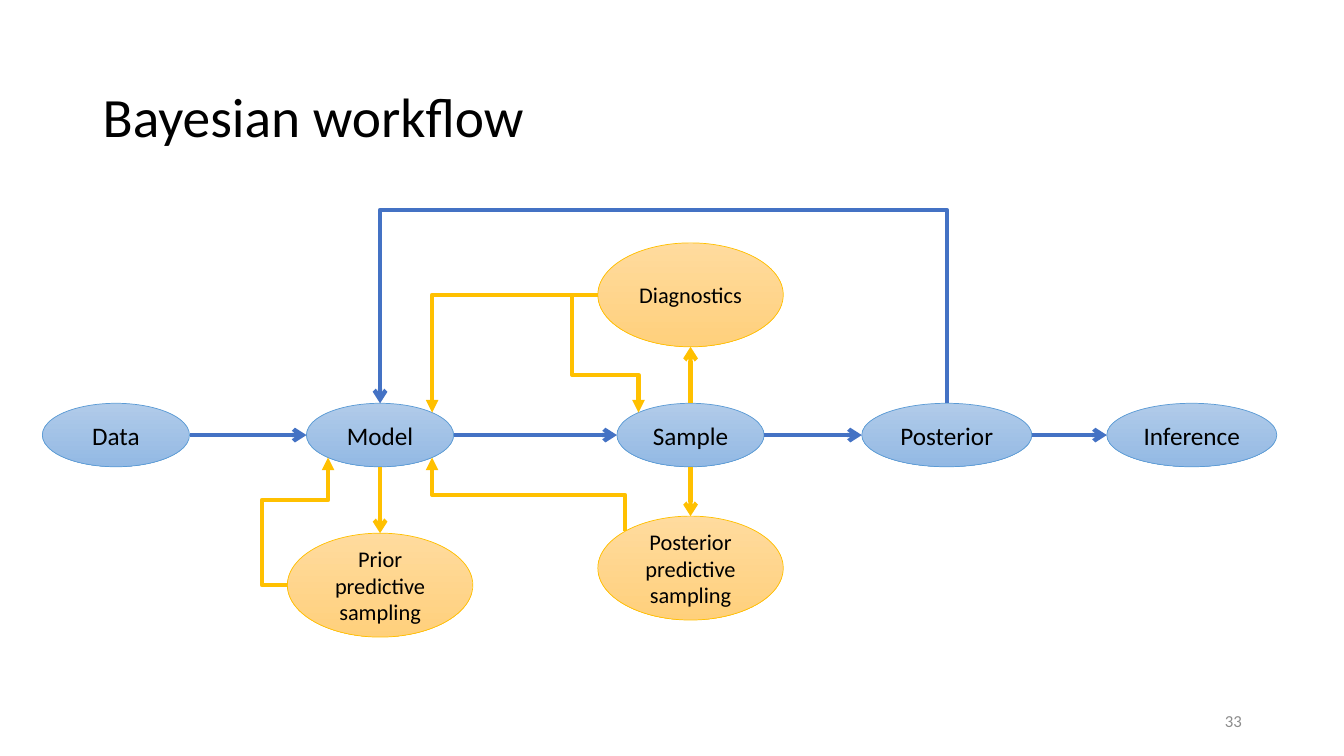
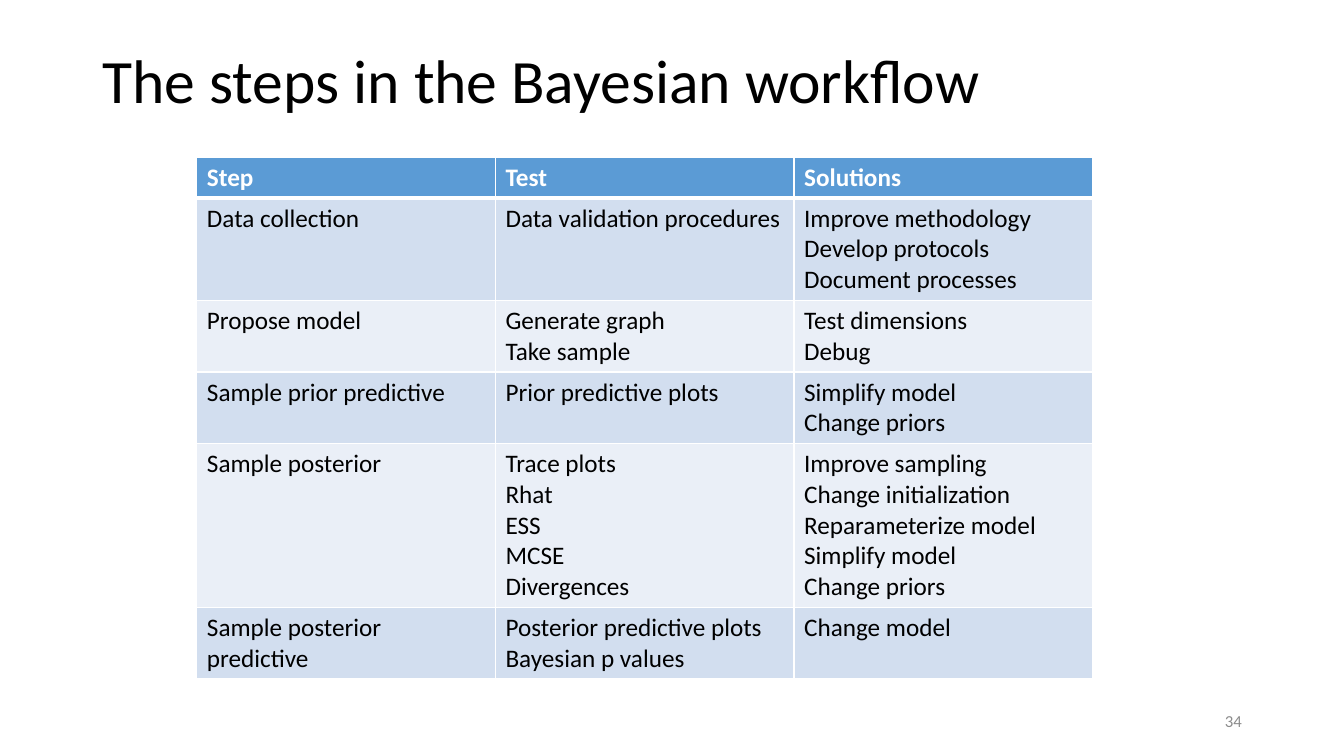
"""Builds two slides on the Bayesian workflow: a flow diagram and a table of steps."""
from dataclasses import dataclass
from math import sqrt

from lxml import etree
from pptx import Presentation
from pptx import util as u
from pptx.dml.color import RGBColor
from pptx.enum import shapes, text
from pptx.oxml.ns import qn

WIDTH, HEIGHT = u.Inches(13.333), u.Inches(7.5)
FONT = "Calibri"
COLOURS = {
    "black": "000000", "white": "FFFFFF", "number": "8C8C8C",
    "main_top": "B1CBE9", "main_bottom": "93B9E4", "main_edge": "5B9BD5", "main_flow": "4472C4",
    "check_top": "FFDB9E", "check_bottom": "FFD07C", "check_edge": "FFC000", "check_flow": "FFC000",
    "header": "5B9BD5", "band_odd": "D2DEEF", "band_even": "EAEFF7",
}
MIDDLE = 57.55
STUB = 1.9
COLUMN_WIDTH, LINE_HEIGHT, CELL_PADDING = 22.22, 4.07, 1.33
TOP, LEFT, BOTTOM, RIGHT = 0, 2, 4, 6
SIDES = {TOP: (0, -1), LEFT: (-1, 0), BOTTOM: (0, 1), RIGHT: (1, 0)}
Point = tuple[float, float]


@dataclass(frozen=True)
class Node:
    """An ellipse placed by its centre, in percent of the slide."""
    label: str
    x: float
    y: float
    width: float
    height: float
    size: int
    family: str

    def side(self, site: int) -> Point:
        """Return the end of one axis."""
        dx, dy = SIDES[site]
        return self.x + dx * self.width / 2, self.y + dy * self.height / 2

    def corner(self, dx: int, dy: int) -> Point:
        """Return the diagonal point of the outline."""
        return self.x + dx * self.width / sqrt(8), self.y + dy * self.height / sqrt(8)


@dataclass(frozen=True)
class Arrow:
    """A straight arrow between two nodes."""
    start: Node
    start_site: int
    end: Node
    end_site: int
    family: str


@dataclass(frozen=True)
class Route:
    """A bent arrow through several points."""
    points: list[Point]
    family: str
    head: str


def main_node(label: str, x: float, width: float) -> Node:
    """Return a step of the main line."""
    return Node(label, x, MIDDLE, width, 8.4, 18, "main")


def check_node(label: str, x: float, y: float) -> Node:
    """Return a checking step."""
    return Node(label, x, y, 13.8, 13.75, 16, "check")


DATA = main_node("Data", 8.63, 10.95)
MODEL = main_node("Model", 28.28, 10.95)
SAMPLE = main_node("Sample", 51.38, 10.95)
POSTERIOR = main_node("Posterior", 70.45, 12.65)
INFERENCE = main_node("Inference", 88.68, 12.65)
PRIOR_CHECK = check_node("Prior predictive sampling", MODEL.x, 77.4)
DIAGNOSTICS = check_node("Diagnostics", SAMPLE.x, 39)
POSTERIOR_CHECK = check_node("Posterior predictive sampling", SAMPLE.x, 75.15)
MAIN_LINE = [DATA, MODEL, SAMPLE, POSTERIOR, INFERENCE]
NODES = MAIN_LINE + [PRIOR_CHECK, DIAGNOSTICS, POSTERIOR_CHECK]

ARROWS = [Arrow(start, RIGHT, end, LEFT, "main") for start, end in zip(MAIN_LINE, MAIN_LINE[1:])] + [
    Arrow(MODEL, BOTTOM, PRIOR_CHECK, TOP, "check"),
    Arrow(SAMPLE, TOP, DIAGNOSTICS, BOTTOM, "check"),
    Arrow(SAMPLE, BOTTOM, POSTERIOR_CHECK, TOP, "check"),
]

STEPS = [
    (["Step"], ["Test"], ["Solutions"]),
    (["Data collection"], ["Data validation procedures"],
     ["Improve methodology", "Develop protocols", "Document processes"]),
    (["Propose model"], ["Generate graph", "Take sample"], ["Test dimensions", "Debug"]),
    (["Sample prior predictive"], ["Prior predictive plots"], ["Simplify model", "Change priors"]),
    (["Sample posterior"], ["Trace plots", "Rhat", "ESS", "MCSE", "Divergences"],
     ["Improve sampling", "Change initialization", "Reparameterize model",
      "Simplify model", "Change priors"]),
    (["Sample posterior predictive"], ["Posterior predictive plots", "Bayesian p values"],
     ["Change model"]),
]


def across(share: float) -> u.Emu:
    """Turn a percentage of the slide's width into a length."""
    return u.Emu(round(WIDTH * share / 100))


def down(share: float) -> u.Emu:
    """Turn a percentage of the slide's height into a length."""
    return u.Emu(round(HEIGHT * share / 100))


def place(point: Point) -> tuple[u.Emu, u.Emu]:
    """Turn a point in percent into lengths."""
    return across(point[0]), down(point[1])


def colour(name: str) -> RGBColor:
    """Return a named colour."""
    return RGBColor.from_string(COLOURS[name])


def write(frame, lines: list[str], size: float, ink: str = "black",
          align=text.PP_ALIGN.LEFT, bold: bool = False, spacing: float = 1.0) -> None:
    """Write one paragraph for each line."""
    for index, line in enumerate(lines):
        para = frame.add_paragraph() if index else frame.paragraphs[0]
        para.alignment, para.line_spacing = align, spacing
        span = para.add_run()
        span.text = line
        span.font.name, span.font.size, span.font.bold = FONT, u.Pt(size), bold
        span.font.color.rgb = colour(ink)


def add_label(page, corner: Point, width: float, height: float, words: str, size: float, **style) -> None:
    """Add a text box centred vertically."""
    box = page.shapes.add_textbox(*place(corner), across(width), down(height))
    box.text_frame.word_wrap = True
    box.text_frame.vertical_anchor = text.MSO_ANCHOR.MIDDLE
    write(box.text_frame, [words], size, **style)


def add_page(deck, title: str, size: float, title_top: float, number: int):
    """Add a blank slide with its title and number."""
    page = deck.slides.add_slide(deck.slide_layouts[6])
    add_label(page, (6.9, title_top), 86.25, 11.35, title, size, spacing=0.9)
    add_label(page, (70.65, 92.65), 22.5, 5.35, str(number), 12,
              ink="number", align=text.PP_ALIGN.RIGHT)
    return page


def add_node(page, node: Node):
    """Draw a node and return its shape."""
    corner = (node.x - node.width / 2, node.y - node.height / 2)
    oval = page.shapes.add_shape(shapes.MSO_SHAPE.OVAL, *place(corner),
                                 across(node.width), down(node.height))
    oval.shadow.inherit = False
    oval.fill.gradient()
    oval.fill.gradient_angle = 270
    for stop, end in zip(oval.fill.gradient_stops, ("top", "bottom")):
        stop.color.rgb = colour(f"{node.family}_{end}")
    oval.line.color.rgb = colour(f"{node.family}_edge")
    oval.line.width = u.Pt(0.5)
    oval.text_frame.word_wrap = True
    oval.text_frame.vertical_anchor = text.MSO_ANCHOR.MIDDLE
    write(oval.text_frame, [node.label], node.size, align=text.PP_ALIGN.CENTER)
    return oval


def style_flow(line, family: str, head: str) -> None:
    """Give a line its colour, width and arrowhead."""
    line.color.rgb = colour(f"{family}_flow")
    line.width = u.Pt(3)
    etree.SubElement(line._get_or_add_ln(), qn("a:tailEnd"), type=head)


def add_arrow(page, arrow: Arrow, ovals: dict) -> None:
    """Draw a straight arrow joined to both ellipses."""
    connector = page.shapes.add_connector(
        shapes.MSO_CONNECTOR.STRAIGHT,
        *place(arrow.start.side(arrow.start_site)), *place(arrow.end.side(arrow.end_site)))
    style_flow(connector.line, arrow.family, "arrow")
    etree.SubElement(connector._element.spPr, qn("a:effectLst"))
    joints = connector._element.find(".//" + qn("p:cNvCxnSpPr"))
    for tag, node, site in (("a:stCxn", arrow.start, arrow.start_site),
                            ("a:endCxn", arrow.end, arrow.end_site)):
        etree.SubElement(joints, qn(tag), id=str(ovals[node].shape_id), idx=str(site))


def add_route(page, route: Route) -> None:
    """Draw a bent arrow as an open outline."""
    start, *others = [place(point) for point in route.points]
    builder = page.shapes.build_freeform(*start)
    builder.add_line_segments(others, close=False)
    outline = builder.convert_to_shape()
    outline.shadow.inherit = False
    outline.fill.background()
    style_flow(outline.line, route.family, route.head)


def via_turn(start: Point, turn: float, end: Point) -> list[Point]:
    """Return a path that crosses at the height of the turn."""
    return [start, (start[0], turn), (end[0], turn), end]


def feedback_routes() -> list[Route]:
    """Return the bent arrows of the workflow."""
    prior, checks = PRIOR_CHECK.side(LEFT), DIAGNOSTICS.side(LEFT)
    model_right = MODEL.corner(1, -1)
    paths = [
        [prior] + via_turn((prior[0] - STUB, prior[1]), 66.15, MODEL.corner(-1, 1)),
        [checks] + via_turn((checks[0] - STUB, checks[1]), 49.6, SAMPLE.corner(-1, -1)),
        [checks, (model_right[0], checks[1]), model_right],
        via_turn(POSTERIOR_CHECK.corner(-1, -1), 65.45, MODEL.corner(1, 1)),
    ]
    loop = via_turn(POSTERIOR.side(TOP), 27.75, MODEL.side(TOP))
    return [Route(path, "check", "triangle") for path in paths] + [Route(loop, "main", "arrow")]


def add_borders(cell, widths: dict[str, float]) -> None:
    """Give a cell white borders."""
    for side, width in widths.items():
        edge = etree.SubElement(cell._tc.get_or_add_tcPr(), qn(f"a:ln{side}"), w=str(u.Pt(width)))
        fill = etree.SubElement(edge, qn("a:solidFill"))
        etree.SubElement(fill, qn("a:srgbClr"), val=COLOURS["white"])


def add_steps(page) -> None:
    """Draw the table of steps."""
    heights = [CELL_PADDING + LINE_HEIGHT * max(map(len, row)) for row in STEPS]
    columns = len(STEPS[0])
    table = page.shapes.add_table(len(STEPS), columns, *place((14.65, 20.8)),
                                  across(COLUMN_WIDTH * columns), down(sum(heights))).table
    for column in table.columns:
        column.width = across(COLUMN_WIDTH)
    for index, row in enumerate(STEPS):
        table.rows[index].height = down(heights[index])
        header = index == 0
        band = "header" if header else "band_odd" if index % 2 else "band_even"
        for place_in_row, lines in enumerate(row):
            cell = table.cell(index, place_in_row)
            add_borders(cell, {"L": 1, "R": 1, "T": 3 if index == 1 else 1, "B": 3 if header else 1})
            cell.fill.solid()
            cell.fill.fore_color.rgb = colour(band)
            write(cell.text_frame, lines, 18, ink="white" if header else "black", bold=header)


def main() -> None:
    """Build and save the deck."""
    deck = Presentation()
    deck.slide_width, deck.slide_height = WIDTH, HEIGHT
    diagram = add_page(deck, "Bayesian workflow", 39.6, 10.15, 33)
    ovals = {node: add_node(diagram, node) for node in NODES}
    for arrow in ARROWS:
        add_arrow(diagram, arrow, ovals)
    for route in feedback_routes():
        add_route(diagram, route)
    add_steps(add_page(deck, "The steps in the Bayesian workflow", 44, 5.35, 34))
    deck.save("out.pptx")


if __name__ == "__main__":
    main()
